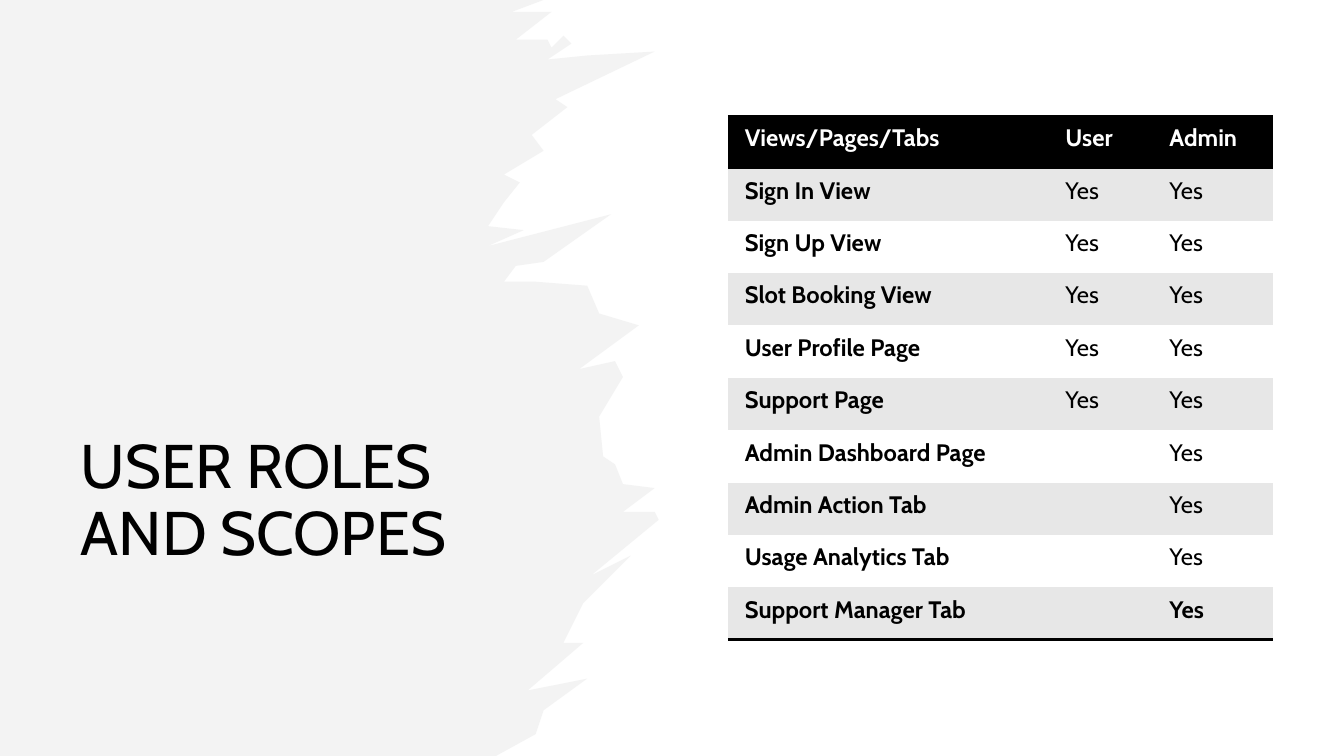
from lxml import etree
from pptx import Presentation
from pptx.dml.color import RGBColor
from pptx.enum.text import MSO_ANCHOR, MSO_AUTO_SIZE, PP_ALIGN
from pptx.oxml.ns import qn
from pptx.util import Cm, Pt

LEFT = PP_ALIGN.LEFT
TOP, BOTTOM = MSO_ANCHOR.TOP, MSO_ANCHOR.BOTTOM
NO_FIT = MSO_AUTO_SIZE.NONE
HUES = {"ink": "000000", "paper": "FFFFFF", "band": "E7E7E7", "brush": "E8E8E8"}

# Left panel with its torn edge from bottom to top, in cm
PANEL = [
    (13.7, 0), (0, 0), (0, 19.05), (12.5, 19.05),
    (13.5, 18.5), (13.7, 17.9), (14.8, 17.1), (13.3, 17.4),
    (14.7, 16.2), (14.2, 16.2), (14.7, 15.2), (15.9, 14),
    (14.9, 14.5), (16.6, 13.1), (16.5, 12.9), (15.7, 12.9),
    (16.5, 12.3), (15.7, 12.2), (15.5, 11.7), (15.2, 11.5),
    (15.1, 10.5), (15.7, 9.5), (15.5, 9.1), (14.6, 9.3),
    (16.1, 8.2), (15.1, 7.9), (14.8, 7.2), (13.5, 7.1),
    (12.7, 7.1), (13, 6.7), (13.7, 6.6), (15.4, 5.4),
    (12.3, 6.2), (13.2, 5.8), (12.3, 5.7), (12.7, 5.1),
    (13.1, 4.6), (12.7, 4.4), (13.7, 3.8), (13.4, 3.4),
    (14.3, 2.7), (14, 2.5), (16.5, 1.3), (14.8, 1.4),
    (13.8, 1.5), (14.4, 1.1), (14.2, 0.9), (13.9, 1.2),
    (13.8, 1), (13, 1), (13.9, 0.3), (12.9, 0.3),
]

# Page, shown to users, shown to admins
ROWS = [("Views/Pages/Tabs", "User", "Admin")]
ROWS += [(page, "Yes", "Yes") for page in (
    "Sign In View", "Sign Up View", "Slot Booking View",
    "User Profile Page", "Support Page")]
ROWS += [(page, "", "Yes") for page in (
    "Admin Dashboard Page", "Admin Action Tab",
    "Usage Analytics Tab", "Support Manager Tab")]


def write(frame, text, size=17, hue="ink", bold=False, space=None):
    para = frame.paragraphs[0]
    para.alignment = LEFT
    para.line_spacing = space
    para.font.size = Pt(size)
    if not text:
        return
    run = para.add_run()
    run.text = text
    font = run.font
    font.name, font.size, font.bold = "Cabin", Pt(size), bold
    font.color.rgb = RGBColor.from_string(HUES[hue])


class Deck:
    def __init__(self):
        self.show = Presentation()
        self.show.slide_width, self.show.slide_height = Cm(33.87), Cm(19.05)
        self.slide = self.show.slides.add_slide(self.show.slide_layouts[5])
        self.shapes = self.slide.shapes

    def fill(self, item, hue):
        item.fill.solid()
        item.fill.fore_color.rgb = RGBColor.from_string(HUES[hue])

    def brush(self, points, hue, alpha):
        spots = [(Cm(x), Cm(y)) for x, y in points]
        pen = self.shapes.build_freeform(*spots[0], scale=1.0)
        pen.add_line_segments(spots[1:], close=True)
        shape = pen.convert_to_shape()
        shape.shadow.inherit = False
        shape.line.fill.background()
        self.fill(shape, hue)
        tint = shape.fill._xPr.find(".//" + qn("a:srgbClr"))
        etree.SubElement(tint, qn("a:alpha"), val=str(alpha * 1000))

    def title(self, text, left, top, width, height):
        box = self.shapes.title
        box.left, box.top, box.width, box.height = map(Cm, (left, top, width, height))
        frame = box.text_frame
        frame.word_wrap, frame.auto_size = True, NO_FIT
        frame.vertical_anchor = BOTTOM
        write(frame, text, size=44, space=0.9)
        self.shapes._spTree.append(box._element)  # bring to front

    def edge(self, cell, rules):
        props = cell._tc.get_or_add_tcPr()
        for spot, side in enumerate("LRTB"):
            line = etree.Element(qn("a:ln" + side), w=str(Pt(2)))
            if side in rules:
                paint = etree.SubElement(line, qn("a:solidFill"))
                etree.SubElement(paint, qn("a:srgbClr"), val=HUES["ink"])
            else:
                etree.SubElement(line, qn("a:noFill"))
            props.insert(spot, line)

    def table(self, rows, left, top, widths, height):
        frame = self.shapes.add_table(
            len(rows), len(widths), Cm(left), Cm(top),
            Cm(sum(widths)), Cm(height * len(rows)))
        grid = frame.table
        for col, width in zip(grid.columns, widths):
            col.width = Cm(width)
        last = len(rows) - 1
        for r, row in enumerate(rows):
            grid.rows[r].height = Cm(height)
            hue = "ink" if r == 0 else "band" if r % 2 else "paper"
            rules = ("T" if r < 2 else "") + ("B" if r in (0, last) else "")
            for c, text in enumerate(row):
                cell = grid.cell(r, c)
                cell.margin_left = cell.margin_right = Cm(0.43)
                cell.margin_top = cell.margin_bottom = Cm(0.2)
                cell.vertical_anchor = TOP
                self.fill(cell, hue)
                self.edge(cell, rules)
                # The closing "Yes" is bold as well
                bold = r == 0 or c == 0 or r == last
                write(cell.text_frame, text, bold=bold,
                      hue="ink" if r else "paper")


def main():
    deck = Deck()
    deck.fill(deck.slide.background, "paper")
    # Brushed panel on the left
    deck.brush(PANEL, "brush", 50)
    deck.title("USER ROLES AND SCOPES", 1.78, 1.78, 12.83, 12.67)
    # Access by role
    deck.table(ROWS, 18.34, 2.92, (8.08, 2.62, 3.05), 1.32)
    deck.show.save("out.pptx")


if __name__ == "__main__":
    main()
